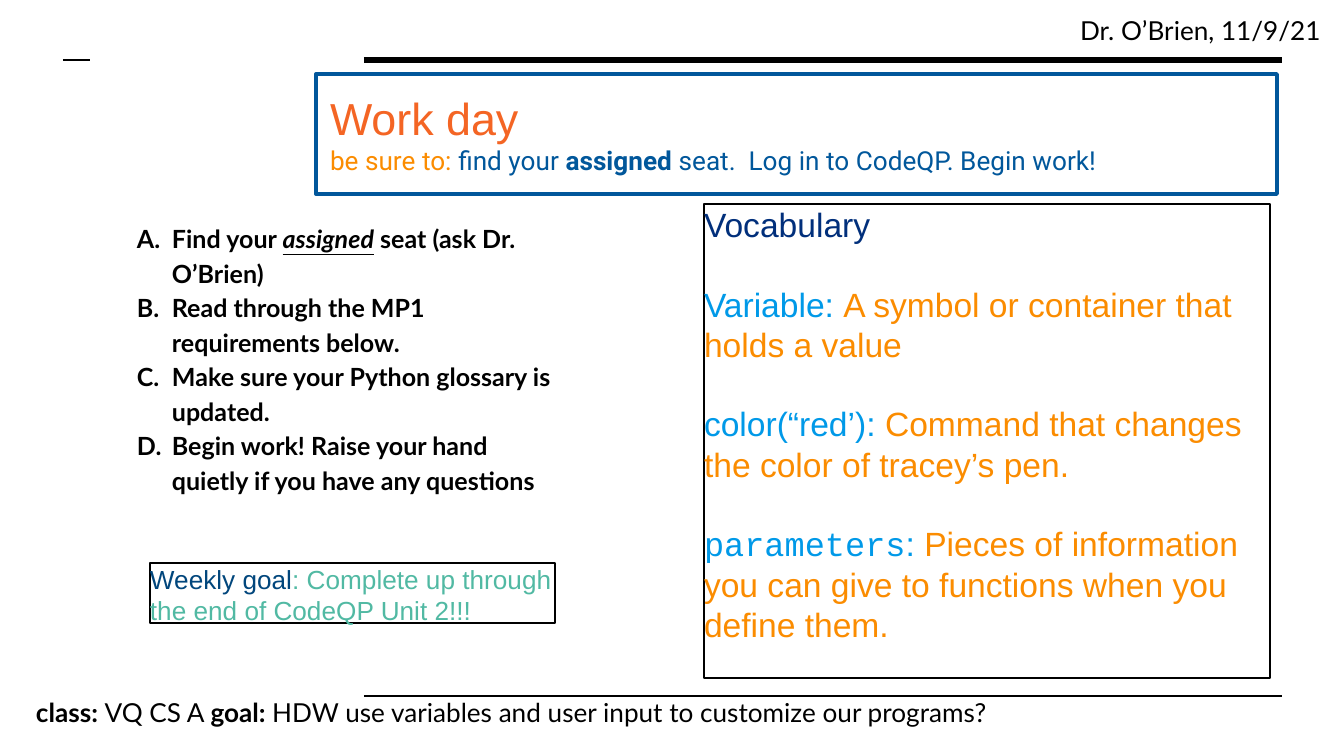
from lxml import etree
from pptx import Presentation
from pptx.dml.color import RGBColor
from pptx.enum.shapes import MSO_CONNECTOR, MSO_SHAPE
from pptx.enum.text import MSO_ANCHOR, MSO_AUTO_SIZE, PP_ALIGN
from pptx.oxml.ns import qn
from pptx.util import Pt

EMU_PER_PX = 914400 / 134.4
STRAIGHT = MSO_CONNECTOR.STRAIGHT
RECTANGLE = MSO_SHAPE.RECTANGLE
TOP, MIDDLE = MSO_ANCHOR.TOP, MSO_ANCHOR.MIDDLE
LEFT = PP_ALIGN.LEFT
NO_AUTOFIT = MSO_AUTO_SIZE.NONE
COLORS = {
    "black": "000000", "white": "FFFFFF", "blue": "01579B", "red": "F46524",
    "orange": "FB8C00", "navy": "012F7B", "sky": "0099E8", "deep": "01467C",
    "mint": "51B9A3",
}
RULES = [(364, 1282, 60, 3), (364, 1282, 696, 1.5), (63, 90, 60, 1.5)]
DEFINITIONS = [
    ("Variable", "A symbol or container that holds a value", None),
    ("color(“red’)", "Command that changes the color of tracey’s pen.", None),
    ("parameters", "Pieces of information you can give to functions when you define them.",
     "Courier New"),
]
STEPS = [
    [("Find your ", {}), ("assigned", {"italic": True, "underline": True}),
     (" seat (ask Dr. O’Brien)", {})],
    [("Read through the MP1 requirements below.", {})],
    [("Make sure your Python glossary is updated.", {})],
    [("Begin work! Raise your hand quietly if you have any questions", {})],
]


def px(length):
    """Turn whole pixels into EMU."""
    return round(length * EMU_PER_PX)


def rgb(name):
    """Look up a named colour."""
    return RGBColor.from_string(COLORS[name])


def style(font, color=None, **settings):
    """Apply colour and other settings to a font."""
    if color:
        font.color.rgb = rgb(color)
    for key, value in settings.items():
        setattr(font, key, value)


def add_rule(slide, start, end, y, weight):
    """Draw a horizontal black rule."""
    rule = slide.shapes.add_connector(STRAIGHT, px(start), px(y), px(end), px(y))
    rule.line.color.rgb = rgb("black")
    rule.line.width = Pt(weight)
    etree.SubElement(rule._element.spPr, qn("a:effectLst"))


def add_frame(slide, box, color, weight, fill=None):
    """Draw an outlined rectangle."""
    frame = slide.shapes.add_shape(RECTANGLE, *map(px, box))
    frame.shadow.inherit = False
    if fill:
        frame.fill.solid()
        frame.fill.fore_color.rgb = rgb(fill)
    else:
        frame.fill.background()
    frame.line.color.rgb = rgb(color)
    frame.line.width = Pt(weight)
    return frame


def prepare(frame, inset, wrap=True, anchor=TOP):
    """Set the insets, wrapping and anchor of a text frame."""
    frame.auto_size = NO_AUTOFIT
    frame.word_wrap = wrap
    frame.vertical_anchor = anchor
    frame.margin_left = frame.margin_right = px(inset)
    frame.margin_top = frame.margin_bottom = px(inset)
    return frame


def add_label(slide, box, wrap=True):
    """Add a text box and return its text frame."""
    return prepare(slide.shapes.add_textbox(*map(px, box)).text_frame, 13, wrap)


def write(frame, index, runs, size, gap=0, numbered=False, **settings):
    """Write a paragraph of styled runs."""
    paragraph = frame.add_paragraph() if index else frame.paragraphs[0]
    paragraph.alignment = LEFT
    if index and gap:
        paragraph.space_before = Pt(gap)
    if numbered:
        paragraph.line_spacing = 1.15
        properties = paragraph._p.get_or_add_pPr()
        properties.set("marL", str(px(35)))
        properties.set("indent", str(px(-35)))
        etree.SubElement(properties, qn("a:buAutoNum"), type="alphaUcPeriod")
    style(paragraph.font, size=Pt(size), **settings)
    for text, looks in runs:
        run = paragraph.add_run()
        run.text = text
        style(run.font, **looks)


def add_banner(slide):
    """Place the title over its outlined panel."""
    add_frame(slide, (316, 74, 961, 120), "blue", 2, "white")
    title = slide.shapes.title
    slide.shapes._spTree.append(title._element)
    title.left, title.top, title.width, title.height = map(px, (317, 75, 957, 116))
    frame = prepare(title.text_frame, 13, anchor=MIDDLE)
    write(frame, 0, [("Work day", {})], 24, name="Arial", color="red")
    write(frame, 1, [
        ("be sure to: ", {"color": "orange"}),
        ("find your ", {"color": "blue"}),
        ("assigned ", {"color": "blue", "bold": True}),
        ("seat.  Log in to CodeQP. Begin work!", {"color": "blue"}),
    ], 14, name="Roboto")


def add_vocabulary(slide):
    """Add the framed list of terms and meanings."""
    panel = add_frame(slide, (704, 204, 566, 474), "black", 1)
    frame = prepare(panel.text_frame, 0)
    write(frame, 0, [("Vocabulary", {})], 18, name="Arial", color="navy")
    for index, (term, meaning, term_font) in enumerate(DEFINITIONS, 1):
        term_looks = {"color": "sky"}
        if term_font:
            term_looks["name"] = term_font
        write(frame, index, [
            (term, term_looks), (": ", {"color": "sky"}), (meaning, {"color": "orange"}),
        ], 18, gap=21, name="Arial")


def add_weekly_goal(slide):
    """Add the framed weekly goal."""
    panel = add_frame(slide, (150, 563, 405, 60), "black", 1)
    frame = prepare(panel.text_frame, 0, wrap=False)
    write(frame, 0, [
        ("Weekly goal", {"color": "deep"}), (": Complete up through", {"color": "mint"}),
    ], 14, name="Arial")
    write(frame, 1, [("the end of CodeQP Unit 2!!!", {})], 14, name="Arial", color="mint")


def add_steps(slide):
    """Add the lettered steps."""
    frame = add_label(slide, (124, 206, 458, 331))
    for index, runs in enumerate(STEPS):
        write(frame, index, runs, 13.4, numbered=True, name="Lato", color="black", bold=True)


def main():
    """Build the class agenda slide."""
    deck = Presentation()
    deck.slide_width, deck.slide_height = px(1344), px(756)
    slide = deck.slides.add_slide(deck.slide_layouts[5])
    for rule in RULES:
        add_rule(slide, *rule)
    footer = add_label(slide, (23, 683, 1257, 59))
    write(footer, 0, [
        ("class: ", {"bold": True}), ("VQ CS A ", {}), ("goal: ", {"bold": True}),
        ("HDW use variables and user input to customize our programs?", {}),
    ], 14, name="Lato", color="black")
    byline = add_label(slide, (1067, 1, 277, 59), wrap=False)
    write(byline, 0, [("Dr. O’Brien, 11/9/21", {})], 14, name="Lato", color="black")
    add_banner(slide)
    add_vocabulary(slide)
    add_weekly_goal(slide)
    add_steps(slide)
    deck.save("out.pptx")


if __name__ == "__main__":
    main()
